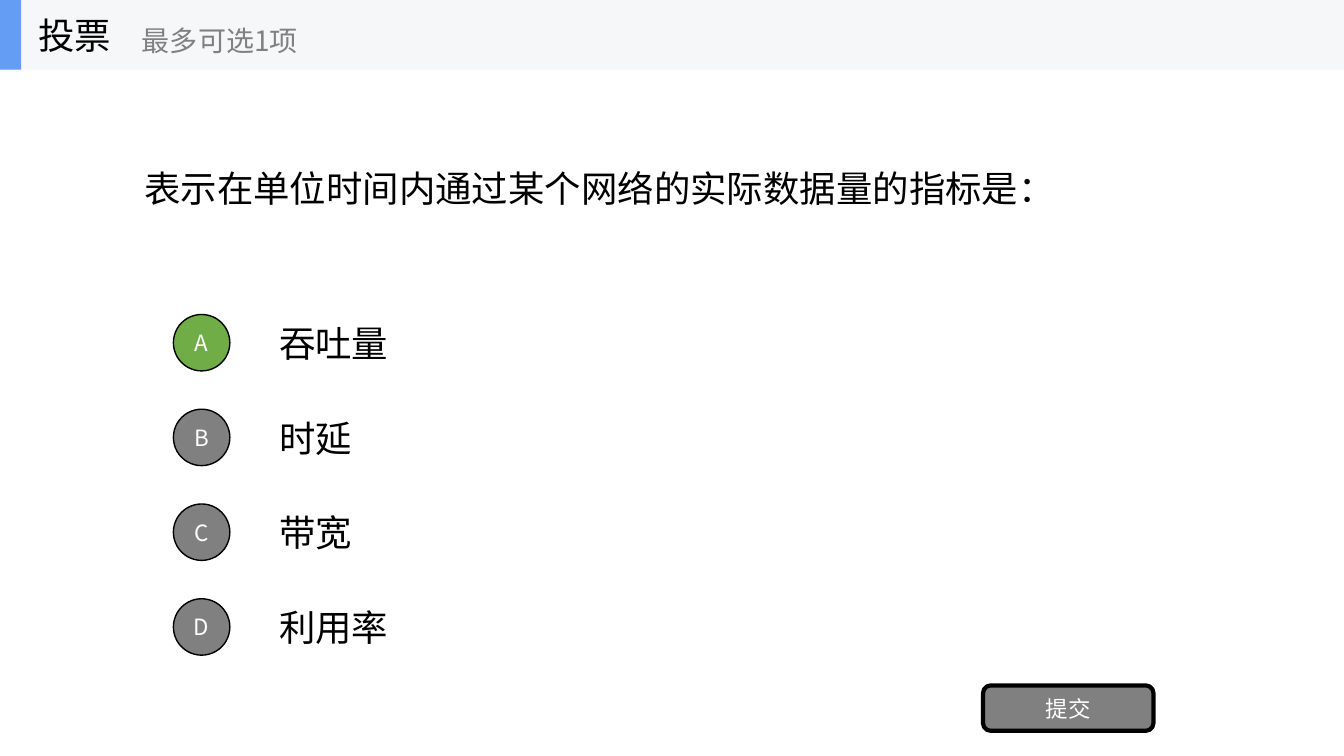
from lxml.etree import SubElement
from pptx import Presentation
from pptx.dml.color import RGBColor
from pptx.enum.shapes import MSO_SHAPE as SHAPE
from pptx.enum.text import MSO_ANCHOR as ANCHOR, MSO_AUTO_SIZE as AUTO, PP_ALIGN as ALIGN
from pptx.oxml.ns import qn
from pptx.util import Inches, Pt

FONT = "Noto Sans CJK SC"
COLORS = {
    "text": "000000", "white": "FFFFFF", "gray": "808080",
    "chosen": "70AD47", "band": "F6F7F8", "accent": "639EF4",
}
FRAME = {"word_wrap": True, "auto_size": AUTO.NONE, "vertical_anchor": ANCHOR.MIDDLE}
OPTIONS = {"A": "吞吐量", "B": "时延", "C": "带宽", "D": "利用率"}
CHOSEN = "A"
OPTION_TOP, OPTION_STEP, OPTION_H = 3.05, 0.94, 0.7
CIRCLE = 0.56
HEADER_H = 0.69


def rgb(name):
    return RGBColor.from_string(COLORS[name])


def write(sp, text, size=26, color="text", align=ALIGN.LEFT):
    """Put one formatted line of text into a shape."""
    tf = sp.text_frame
    for key, value in FRAME.items():
        setattr(tf, key, value)
    p = tf.paragraphs[0]
    p.alignment = align
    r = p.add_run()
    r.text = text
    for key, value in {"name": FONT, "size": Pt(size), "bold": False}.items():
        setattr(r.font, key, value)
    r.font.color.rgb = rgb(color)
    # East Asian glyphs need their own typeface entry
    SubElement(r.font._element, qn("a:ea")).set("typeface", FONT)


def add_text(shapes, box, text, **style):
    write(shapes.add_textbox(*map(Inches, box)), text, **style)


def add_block(shapes, kind, box, fill, line=0):
    """Add a filled shape, outlined in black if a line width is given."""
    sp = shapes.add_shape(kind, *map(Inches, box))
    sp.shadow.inherit = False
    sp.fill.solid()
    sp.fill.fore_color.rgb = rgb(fill)
    if line:
        sp.line.color.rgb = rgb("text")
        sp.line.width = Pt(line)
    else:
        sp.line.fill.background()
    return sp


def add_button(shapes, kind, box, text, fill, line):
    sp = add_block(shapes, kind, box, fill, line)
    tf = sp.text_frame
    for side in ("left", "right", "top", "bottom"):
        setattr(tf, f"margin_{side}", 0)
    write(sp, text, size=16, color="white", align=ALIGN.CENTER)


def add_question(s, text):
    title = s.shapes.title
    box = (1.33, HEADER_H, 10.67, 2.34)
    for key, value in zip(("left", "top", "width", "height"), box):
        setattr(title, key, Inches(value))
    write(title, text)


def add_options(shapes):
    for i, (letter, text) in enumerate(OPTIONS.items()):
        top = OPTION_TOP + i * OPTION_STEP
        add_text(shapes, (2.67, top, 9.33, OPTION_H), text)
        circle = (1.72, top + (OPTION_H - CIRCLE) / 2, CIRCLE, CIRCLE)
        fill = "chosen" if letter == CHOSEN else "gray"
        add_button(shapes, SHAPE.OVAL, circle, letter, fill, 1)


def add_header(s):
    shapes = s.shapes.add_group_shape().shapes
    add_block(shapes, SHAPE.RECTANGLE, (0, 0, 13.33, HEADER_H), "band")
    add_block(shapes, SHAPE.RECTANGLE, (0, 0, 0.21, HEADER_H), "accent")
    add_text(shapes, (0.28, 0, 2.08, HEADER_H), "投票")
    add_text(shapes, (1.31, 0.12, 2.5, 0.56), "最多可选1项", size=20, color="gray")


def main():
    prs = Presentation()
    prs.slide_width, prs.slide_height = Inches(13.33), Inches(7.5)
    s = prs.slides.add_slide(prs.slide_layouts[5])  # Title Only

    # Question and answers
    add_question(s, "表示在单位时间内通过某个网络的实际数据量的指标是：")
    add_options(s.shapes)

    # Submit button
    add_button(s.shapes, SHAPE.ROUNDED_RECTANGLE, (9.75, 6.8, 1.69, 0.45),
               "提交", "gray", 3)

    # Header band
    add_header(s)
    prs.save("out.pptx")


if __name__ == "__main__":
    main()
